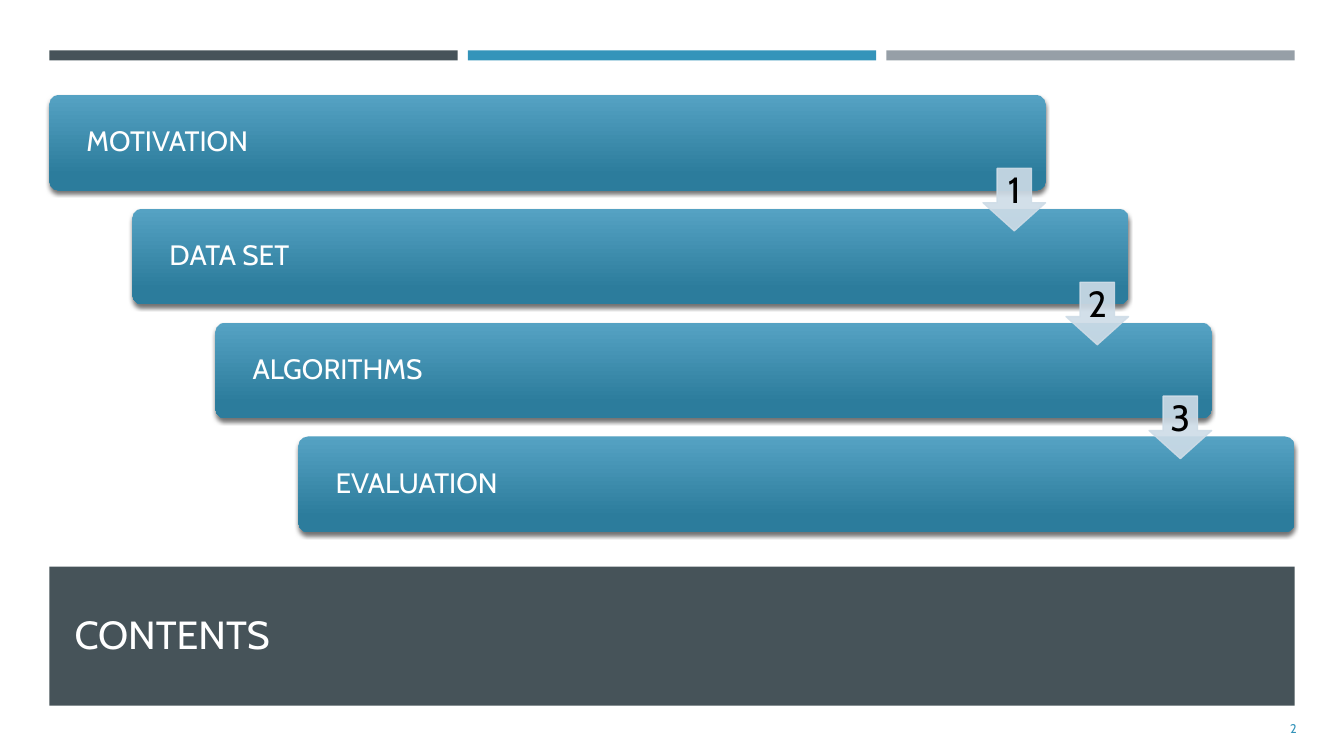
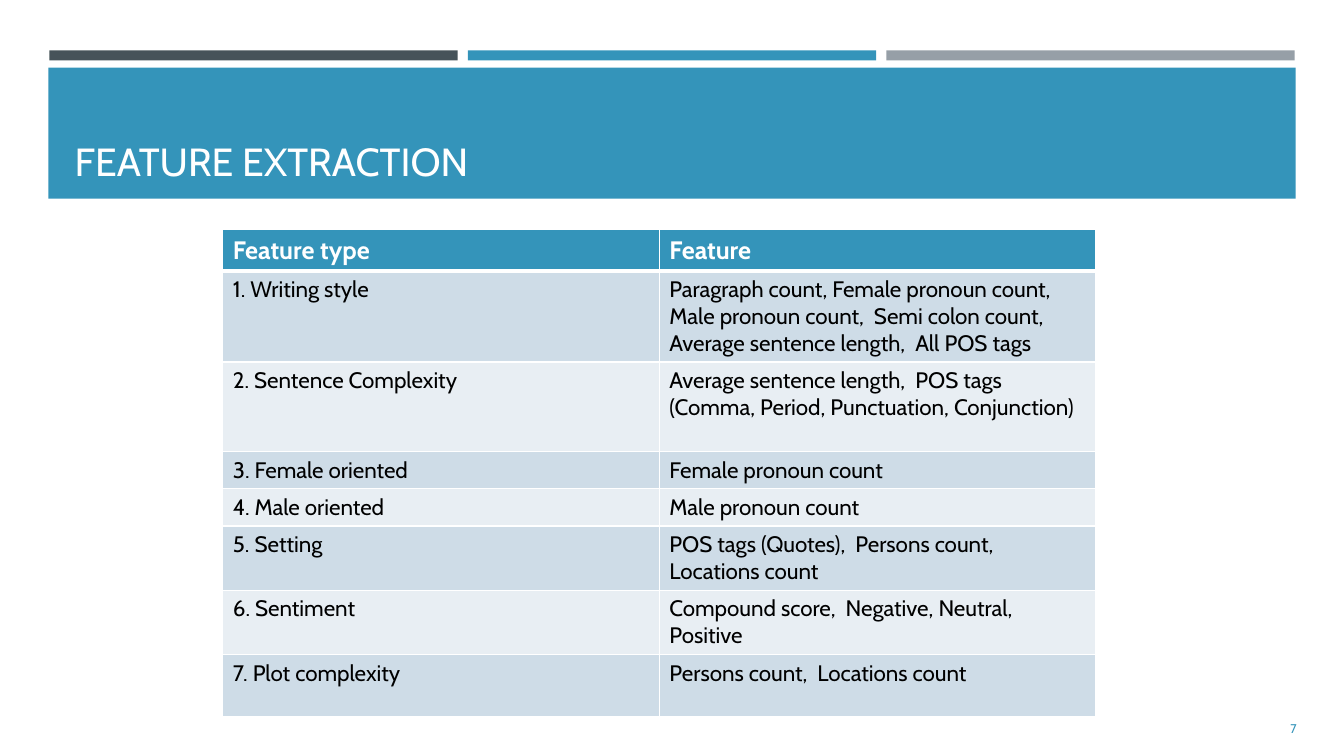
"""Build a contents slide and a feature table slide in one shared style."""
from lxml.etree import SubElement
from pptx import Presentation
from pptx.dml.color import RGBColor
from pptx.enum.shapes import MSO_SHAPE
from pptx.enum.text import MSO_ANCHOR, PP_ALIGN
from pptx.oxml.ns import qn
from pptx.util import Inches, Pt

COLORS = {
    "slate": "465359",
    "blue": "3494BA",
    "gray": "969FA7",
    "light_blue": "55A2C3",
    "deep_blue": "2C7C9C",
    "pale": "CEDCE7",
    "paler": "E8EEF3",
    "white": "FFFFFF",
    "black": "000000",
}
FONT = "Cabin"
LEFT = 0.49
CONTENT_WIDTH = 12.35

STEPS = ["MOTIVATION", "DATA SET", "ALGORITHMS", "EVALUATION"]

FEATURES = [
    ("Feature type", "Feature"),
    ("1. Writing style", "Paragraph count, Female pronoun count,\n"
     "Male pronoun count,  Semi colon count,\nAverage sentence length,  All POS tags"),
    ("2. Sentence Complexity", "Average sentence length,  POS tags\n"
     "(Comma, Period, Punctuation, Conjunction)"),
    ("3. Female oriented", "Female pronoun count"),
    ("4. Male oriented", "Male pronoun count"),
    ("5. Setting", "POS tags (Quotes),  Persons count,\nLocations count"),
    ("6. Sentiment", "Compound score,  Negative, Neutral, Positive"),
    ("7. Plot complexity", "Persons count,  Locations count"),
]
ROW_HEIGHTS = [0.36, 0.89, 0.89, 0.36, 0.36, 0.62, 0.62, 0.62]


def rgb(name):
    return RGBColor.from_string(COLORS[name])


def write_text(frame, text, size=16, color="black", bold=False,
               align=PP_ALIGN.LEFT, line_spacing=None):
    frame.text = text
    for paragraph in frame.paragraphs:
        paragraph.alignment = align
        paragraph.line_spacing = line_spacing
        for run in paragraph.runs:
            run.font.name = FONT
            run.font.size = Pt(size)
            run.font.bold = bold
            run.font.color.rgb = rgb(color)


def set_margins(frame, left, other):
    frame.margin_left = Inches(left)
    frame.margin_top = frame.margin_right = frame.margin_bottom = Inches(other)


def add_shadow(shape):
    effects = SubElement(shape.element.spPr, qn("a:effectLst"))
    shadow = SubElement(effects, qn("a:outerShdw"), blurRad=str(Pt(3)), dist=str(Pt(2)),
                        dir="5400000", algn="ctr", rotWithShape="0")
    color = SubElement(shadow, qn("a:srgbClr"), val=COLORS["black"])
    SubElement(color, qn("a:alpha"), val="55000")


def add_borders(cell, bottom=1):
    properties = cell._tc.get_or_add_tcPr()
    for side, width in (("L", 1), ("R", 1), ("T", 1), ("B", bottom)):
        line = SubElement(properties, qn("a:ln" + side), w=str(Pt(width)))
        fill = SubElement(line, qn("a:solidFill"))
        SubElement(fill, qn("a:srgbClr"), val=COLORS["white"])


class Deck:
    def __init__(self):
        self.presentation = Presentation()
        self.presentation.slide_width = Inches(13.33)
        self.presentation.slide_height = Inches(7.5)
        self.slide = None

    def add_slide(self, number):
        self.slide = self.presentation.slides.add_slide(self.presentation.slide_layouts[5])
        for index, color in enumerate(("slate", "blue", "gray")):
            self.add_band(LEFT + index * 4.15, 0.5, 4.05, 0.1, color)
        box = self.slide.shapes.add_textbox(Inches(11.81), Inches(7.03), Inches(1.15), Inches(0.4))
        box.text_frame.word_wrap = True
        box.text_frame.vertical_anchor = MSO_ANCHOR.MIDDLE
        write_text(box.text_frame, str(number), size=9, color="blue", align=PP_ALIGN.RIGHT)

    def add_shape(self, kind, left, top, width, height):
        shape = self.slide.shapes.add_shape(
            kind, Inches(left), Inches(top), Inches(width), Inches(height))
        shape.line.fill.background()
        return shape

    def add_band(self, left, top, width, height, color):
        band = self.add_shape(MSO_SHAPE.RECTANGLE, left, top, width, height)
        band.shadow.inherit = False
        band.fill.solid()
        band.fill.fore_color.rgb = rgb(color)

    def add_title(self, text, top, height, anchor):
        title = self.slide.shapes.title
        title.left, title.top = Inches(0.64), Inches(top)
        title.width, title.height = Inches(12.06), Inches(height)
        title.text_frame.vertical_anchor = anchor
        write_text(title.text_frame, text, size=28, color="white")
        self.slide.shapes.element.append(title.element)

    def add_step(self, text, left, top, width):
        bar = self.add_shape(MSO_SHAPE.ROUNDED_RECTANGLE, left, top, width, 0.95)
        bar.adjustments[0] = 0.1
        bar.fill.gradient()
        bar.fill.gradient_angle = 270
        stops = zip(bar.fill.gradient_stops, (0, 0.84), ("light_blue", "deep_blue"))
        for stop, position, color in stops:
            stop.position = position
            stop.color.rgb = rgb(color)
        add_shadow(bar)
        set_margins(bar.text_frame, 0.34, 0.08)
        bar.text_frame.vertical_anchor = MSO_ANCHOR.MIDDLE
        write_text(bar.text_frame, text, size=20, color="white", line_spacing=0.9)

    def add_arrow(self, number, left, top, size):
        arrow = self.add_shape(MSO_SHAPE.DOWN_ARROW, left, top, size, size)
        arrow.shadow.inherit = False
        arrow.adjustments[0] = 0.45
        arrow.adjustments[1] = 0.55
        arrow.adjustments[0], arrow.adjustments[1] = 0.55, 0.45
        arrow.fill.solid()
        arrow.fill.fore_color.rgb = rgb("pale")
        arrow.line.color.rgb = rgb("pale")
        arrow.line.width = Pt(1)
        for color in arrow.element.spPr.iter(qn("a:srgbClr")):
            SubElement(color, qn("a:alpha"), val="90000")
        set_margins(arrow.text_frame, 0.04, 0.04)
        arrow.text_frame.vertical_anchor = MSO_ANCHOR.MIDDLE
        write_text(arrow.text_frame, str(number), size=26, align=PP_ALIGN.CENTER, line_spacing=0.9)

    def add_table(self, rows, heights, left, top, column_width):
        columns = len(rows[0])
        table = self.slide.shapes.add_table(
            len(rows), columns, Inches(left), Inches(top),
            Inches(column_width * columns), Inches(sum(heights))).table
        for column in table.columns:
            column.width = Inches(column_width)
        for index, (texts, height) in enumerate(zip(rows, heights)):
            header = index == 0
            fill = "blue" if header else ("paler", "pale")[index % 2]
            table.rows[index].height = Inches(height)
            for cell, text in zip(table.rows[index].cells, texts):
                add_borders(cell, bottom=3 if header else 1)
                cell.fill.solid()
                cell.fill.fore_color.rgb = rgb(fill)
                write_text(cell.text_frame, text, size=18 if header else 16,
                           color="white" if header else "black", bold=header)


def build_contents(deck):
    deck.add_slide(2)
    deck.add_band(LEFT, 5.62, CONTENT_WIDTH, 1.38, "slate")
    deck.add_title("CONTENTS", 5.76, 1.05, MSO_ANCHOR.MIDDLE)
    bar_width, arrow_size = 9.88, 0.62
    shift = (CONTENT_WIDTH - bar_width) / (len(STEPS) - 1)
    places = [(LEFT + index * shift, 0.94 + index * 1.13) for index in range(len(STEPS))]
    for text, (left, top) in zip(STEPS, places):
        deck.add_step(text, left, top, bar_width)
    for number, (left, top) in enumerate(places[:-1], start=1):
        deck.add_arrow(number, left + bar_width - arrow_size, top + 0.73, arrow_size)


def build_features(deck):
    deck.add_slide(7)
    deck.add_band(0.48, 0.67, 12.37, 1.3, "blue")
    deck.add_title("FEATURE EXTRACTION", 0.77, 1.11, MSO_ANCHOR.BOTTOM)
    deck.add_table(FEATURES, ROW_HEIGHTS, 2.21, 2.28, 4.33)


def main():
    deck = Deck()
    build_contents(deck)
    build_features(deck)
    deck.presentation.save("out.pptx")


if __name__ == "__main__":
    main()
